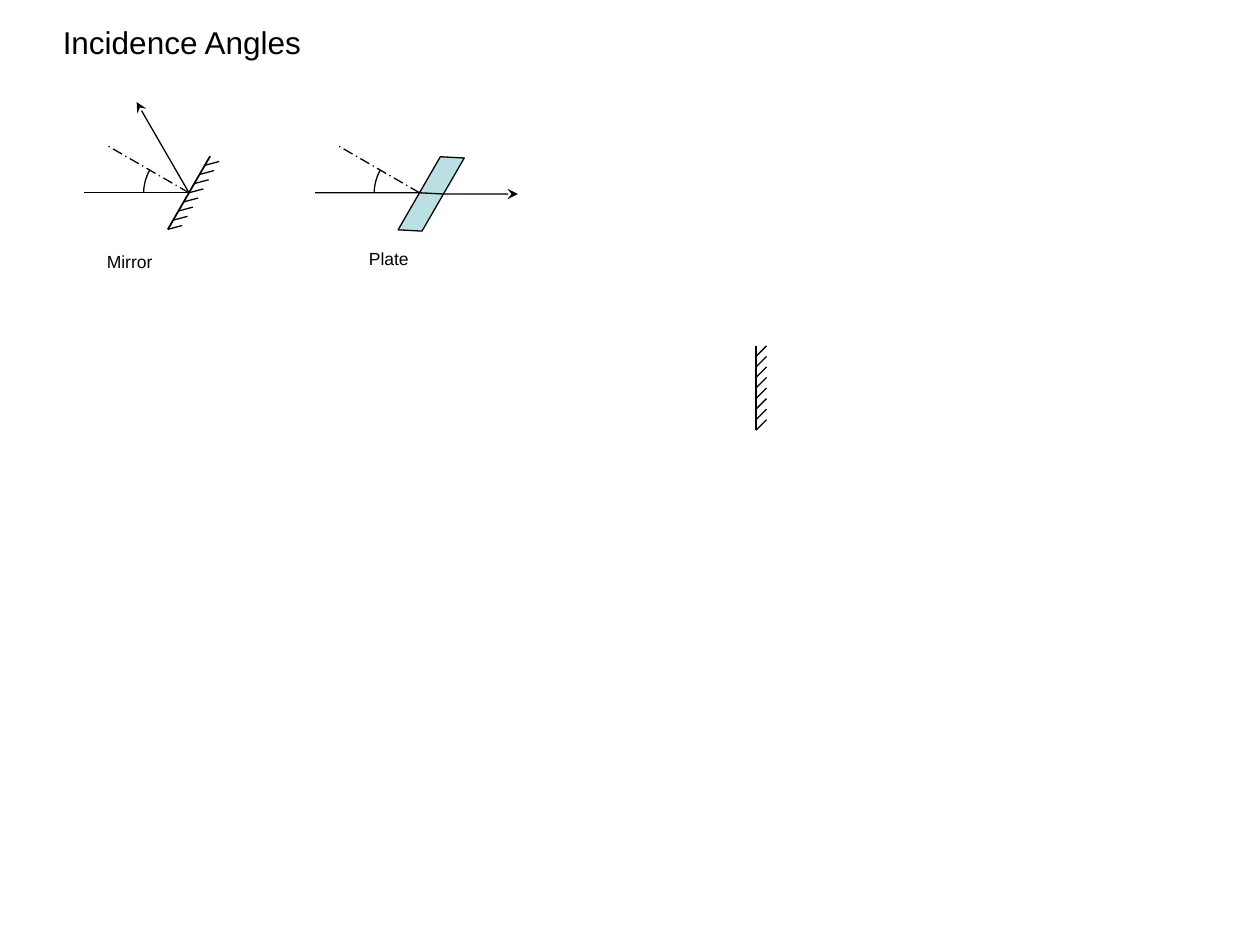
import math

import pptx
import pptx.dml.color
import pptx.enum.dml
import pptx.enum.shapes
import pptx.enum.text
import pptx.oxml
import pptx.oxml.ns
import pptx.util
from pptx.util import Inches

COLORS = {"ink": "000000", "glass": "BBE0E3"}
FONT = "Arial"
REACH = 0.83


def shade(name):
    return pptx.dml.color.RGBColor.from_string(COLORS[name])


def stroke(shape, width=0.75, arrow=False, dash=None):
    shape.line.color.rgb = shade("ink")
    shape.line.width = pptx.util.Pt(width)
    if dash:
        shape.line.dash_style = dash
    if arrow:
        tail = pptx.oxml.parse_xml(
            f'<a:tailEnd {pptx.oxml.ns.nsdecls("a")} type="stealth"/>')
        shape.line._get_or_add_ln().append(tail)


def add_line(group, start, end, **style):
    line = group.shapes.add_connector(
        pptx.enum.shapes.MSO_CONNECTOR.STRAIGHT,
        *(Inches(value) for value in (*start, *end)))
    effect = pptx.oxml.parse_xml(
        f'<a:effectLst {pptx.oxml.ns.nsdecls("a")}/>')
    stroke(line, **style)
    line._element.spPr.append(effect)


def add_path(group, points, close, fill=None, arrow=False):
    first, *rest = [(Inches(x), Inches(y)) for x, y in points]
    pen = group.shapes.build_freeform(*first)
    pen.add_line_segments(rest, close=close)
    shape = pen.convert_to_shape()
    shape.shadow.inherit = False
    if fill:
        shape.fill.solid()
        shape.fill.fore_color.rgb = shade(fill)
    else:
        shape.fill.background()
    stroke(shape, arrow=arrow)


def add_text(slide, text, left, top, width, height, size):
    box = slide.shapes.add_textbox(
        Inches(left), Inches(top), Inches(width), Inches(height))
    frame = box.text_frame
    frame.word_wrap = False
    frame.auto_size = pptx.enum.text.MSO_AUTO_SIZE.SHAPE_TO_FIT_TEXT
    frame.text = text
    font = frame.paragraphs[0].runs[0].font
    font.name = FONT
    font.size = pptx.util.Pt(size)
    font.color.rgb = shade("ink")


def polar(origin, length, angle):
    turn = math.radians(angle)
    return (origin[0] + length * math.cos(turn),
            origin[1] + length * math.sin(turn))


def add_mirror(group, center, tilt, length=0.67, count=8):
    top = polar(center, length / 2, tilt - 90)
    end = polar(center, length / 2, tilt + 90)
    step = length / count
    for index in range(1, count + 1):
        root = polar(top, index * step, tilt + 90)
        tip = polar(root, step * math.sqrt(2), tilt - 45)
        add_line(group, root, tip)
    add_line(group, top, end, width=1)


def add_normal(group, hit):
    add_line(group, hit, polar(hit, 0.75, 210),
             dash=pptx.enum.dml.MSO_LINE.LONG_DASH_DOT)


def add_angle(group, hit, radius=0.36):
    arc = group.shapes.add_shape(
        pptx.enum.shapes.MSO_SHAPE.ARC,
        Inches(hit[0] - radius), Inches(hit[1] - radius),
        Inches(2 * radius), Inches(2 * radius))
    arc.adjustments[0] = 108
    arc.adjustments[1] = 126
    arc.shadow.inherit = False
    arc.fill.background()
    stroke(arc)


def mirror_panel(slide, left, top):
    group = slide.shapes.add_group_shape()
    hit = (left + REACH, top + 0.72)
    add_mirror(group, hit, 30)
    add_normal(group, hit)
    add_line(group, (left, hit[1]), hit)
    add_line(group, hit, polar(hit, REACH, 240), arrow=True)
    add_angle(group, hit)
    add_text(slide, "Mirror", left + 0.08, top + 1.13, 0.57, 0.27, 10)


def plate_panel(slide, left, top):
    group = slide.shapes.add_group_shape()
    hit = (left + REACH, top + 0.38)
    far = (hit[0] + 0.19, hit[1] + 0.01)
    upper, lower = 0.33, 0.34
    corners = [polar(hit, upper, 300), polar(hit, lower, 120),
               polar(far, lower, 120), polar(far, upper, 300)]
    add_path(group, corners, True, fill="glass")
    add_normal(group, hit)
    beam = [(left, hit[1]), hit, far, (left + 1.61, far[1])]
    add_path(group, beam, False, arrow=True)
    add_angle(group, hit)
    add_text(slide, "Plate", left + 0.33, top + 0.77, 0.53, 0.27, 10)


def main():
    deck = pptx.Presentation()
    deck.slide_width, deck.slide_height = Inches(10), Inches(7.5)
    slide = deck.slides.add_slide(deck.slide_layouts[6])
    add_mirror(slide.shapes.add_group_shape(), (6, 3.08), 0)
    mirror_panel(slide, 0.67, 0.81)
    add_text(slide, "Incidence Angles", 0.4, 0.13, 2.1, 0.4, 18)
    plate_panel(slide, 2.5, 1.15)
    deck.save("out.pptx")


if __name__ == "__main__":
    main()
